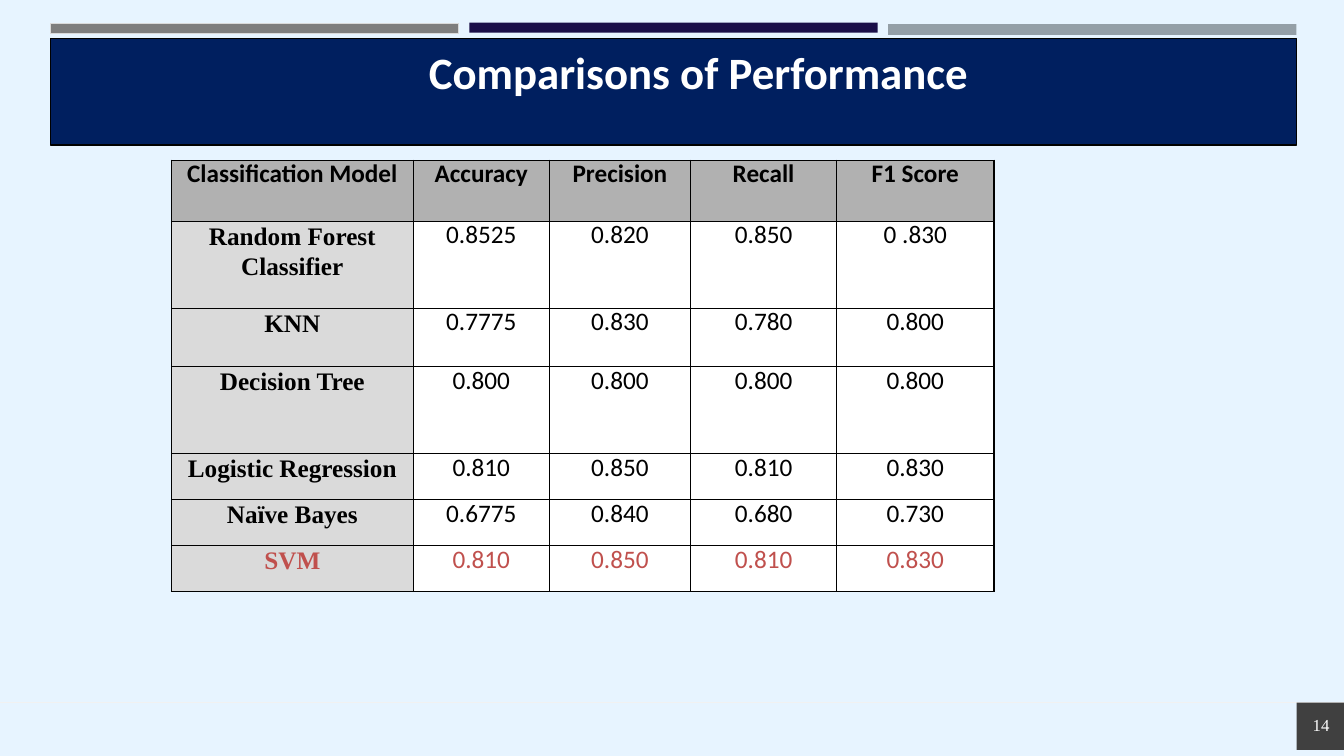
from dataclasses import dataclass

from lxml import etree
from pptx import Presentation
from pptx.dml.color import RGBColor
from pptx.enum.shapes import MSO_CONNECTOR, MSO_SHAPE
from pptx.enum.text import MSO_ANCHOR, PP_ALIGN
from pptx.oxml.ns import qn
from pptx.util import Inches, Pt

RECT = MSO_SHAPE.RECTANGLE
LINE = MSO_CONNECTOR.STRAIGHT
TOP = MSO_ANCHOR.TOP
CENTER, LEFT = PP_ALIGN.CENTER, PP_ALIGN.LEFT
WIDE, HIGH = Inches(13.33), Inches(7.5)
SANS, SERIF = "Calibri", "Times New Roman"

COLORS = {
    "tint": "29A2FF", "rule": "F1F1F1", "badge": "404040",
    "gray": "7E7E7E", "edge": "DADADA", "plum": "1A0E48", "steel": "949FA7",
    "navy": "001F5F", "black": "000000", "white": "FFFFFF",
    "head": "B1B1B1", "side": "DADADA", "red": "C0504D",
}
COLS = (18, 10.13, 10.5, 10.88, 11.7)
ROWS = (8.07, 11.53, 7.7, 11.53, 6.07, 6.07, 6.07)
SCORES = (
    ("Classification Model", "Accuracy", "Precision", "Recall", "F1 Score"),
    ("Random Forest\nClassifier", "0.8525", "0.820", "0.850", "0 .830"),
    ("KNN", "0.7775", "0.830", "0.780", "0.800"),
    ("Decision Tree", "0.800", "0.800", "0.800", "0.800"),
    ("Logistic Regression", "0.810", "0.850", "0.810", "0.830"),
    ("Naïve Bayes", "0.6775", "0.840", "0.680", "0.730"),
    ("SVM", "0.810", "0.850", "0.810", "0.830"),
)


@dataclass(frozen=True)
class Box:
    """A filled box, with lengths in percent of the slide."""
    left: float
    top: float
    width: float
    height: float
    fill: str
    edge: str = ""
    weight: float = 1


@dataclass(frozen=True)
class Style:
    """The look of a paragraph."""
    size: float
    face: str
    color: str
    bold: bool = False
    align: PP_ALIGN = CENTER


PITCH = 31.17
BARS = tuple(
    Box(3.75 + PITCH * i, top, 30.38, height, fill, edge, 0.75)
    for i, (top, height, fill, edge) in enumerate((
        (3.07, 1.33, "gray", "edge"),
        (3, 1.33, "plum", ""),
        (3.2, 1.4, "steel", ""),
    ))
)
TINT = Box(0, 0, 100, 100, "tint")
BADGE = Box(96.47, 92.93, 3.53, 6.27, "badge")
TITLE = Box(3.75, 5.07, 92.72, 14.13, "navy", "black")


def across(share: float) -> int:
    """Turn a percent of the slide's width into a length."""
    return round(WIDE * share / 100)


def down(share: float) -> int:
    """Turn a percent of the slide's height into a length."""
    return round(HIGH * share / 100)


def shade(name: str) -> RGBColor:
    """Look up a colour by name."""
    return RGBColor.from_string(COLORS[name])


def draw_box(slide, box: Box):
    """Draw one filled box."""
    shape = slide.shapes.add_shape(RECT, across(box.left), down(box.top),
                                   across(box.width), down(box.height))
    shape.shadow.inherit = False
    shape.fill.solid()
    shape.fill.fore_color.rgb = shade(box.fill)
    if box.edge:
        shape.line.color.rgb = shade(box.edge)
        shape.line.width = Pt(box.weight)
    else:
        shape.line.fill.background()
    return shape


def write(frame, text: str, style: Style) -> None:
    """Write text in a frame, one paragraph a line."""
    frame.text = text
    frame.word_wrap = True
    for para in frame.paragraphs:
        para.alignment = style.align
        para.font.size = Pt(style.size)
        para.font.name = style.face
        para.font.bold = style.bold
        para.font.color.rgb = shade(style.color)


def clear_inset(frame) -> None:
    """Remove the margins of a frame or a cell."""
    frame.margin_left = frame.margin_right = 0
    frame.margin_top = frame.margin_bottom = 0


def draw_tint(slide) -> None:
    """Cover the slide with a faint tint."""
    shape = draw_box(slide, TINT)
    color = shape.fill._xPr.find(qn("a:solidFill"))[0]
    etree.SubElement(color, qn("a:alpha"), val="11000")


def draw_foot(slide) -> None:
    """Draw the foot rule, the badge and the page number."""
    rule = slide.shapes.add_connector(LINE, 0, down(BADGE.top), WIDE, down(BADGE.top))
    rule.line.color.rgb = shade("rule")
    rule.line.width = Pt(0.5)
    etree.SubElement(rule._element.spPr, qn("a:effectLst"))
    draw_box(slide, BADGE)
    page = slide.shapes.add_textbox(across(97.37), down(94.93), across(1.8), down(2.27))
    frame = page.text_frame
    clear_inset(frame)
    frame.margin_left = Inches(0.04)
    write(frame, "14", Style(12, SERIF, "white", align=LEFT))
    frame.paragraphs[0].line_spacing = Pt(12.3)


def draw_title(slide) -> None:
    """Draw the title band."""
    frame = draw_box(slide, TITLE).text_frame
    clear_inset(frame)
    frame.margin_left, frame.margin_top = Inches(0.5), Inches(0.06)
    frame.vertical_anchor = TOP
    write(frame, "Comparisons of Performance", Style(32, SANS, "white", True))
    frame.paragraphs[0].space_before = Pt(4)


def frame_cell(cell) -> None:
    """Put a thin black border round a cell."""
    props = cell._tc.get_or_add_tcPr()
    for side in ("lnL", "lnR", "lnT", "lnB"):
        line = etree.SubElement(props, qn(f"a:{side}"), w=str(Pt(1)))
        fill = etree.SubElement(line, qn("a:solidFill"))
        etree.SubElement(fill, qn("a:srgbClr"), val=COLORS["black"])


def fill_cell(cell, text: str, row: int, col: int) -> None:
    """Write and colour one cell by its place in the table."""
    head, side, last = row == 0, col == 0, row == len(SCORES) - 1
    clear_inset(cell)
    face = SERIF if side and not head else SANS
    color = "red" if last else "black"
    write(cell.text_frame, text, Style(18, face, color, head or side))
    first, *rest = cell.text_frame.paragraphs
    first.line_spacing = Pt(20.9)
    for para in rest:
        para.space_before = Pt(1.6)
    frame_cell(cell)
    cell.fill.solid()
    cell.fill.fore_color.rgb = shade("head" if head else "side" if side else "white")


def draw_table(slide) -> None:
    """Draw the table of scores."""
    table = slide.shapes.add_table(len(ROWS), len(COLS), across(12.75), down(21.2),
                                   across(sum(COLS)), down(sum(ROWS))).table
    table.first_row = table.horz_banding = False
    for col, share in zip(table.columns, COLS):
        col.width = across(share)
    for row, share in zip(table.rows, ROWS):
        row.height = down(share)
    for i, line in enumerate(SCORES):
        for j, text in enumerate(line):
            fill_cell(table.cell(i, j), text, i, j)


def main() -> None:
    """Build the slide and save it."""
    deck = Presentation()
    deck.slide_width, deck.slide_height = WIDE, HIGH
    slide = deck.slides.add_slide(deck.slide_layouts[6])
    draw_tint(slide)
    for bar in BARS:
        draw_box(slide, bar)
    draw_title(slide)
    draw_table(slide)
    draw_foot(slide)
    deck.save("out.pptx")


if __name__ == "__main__":
    main()
